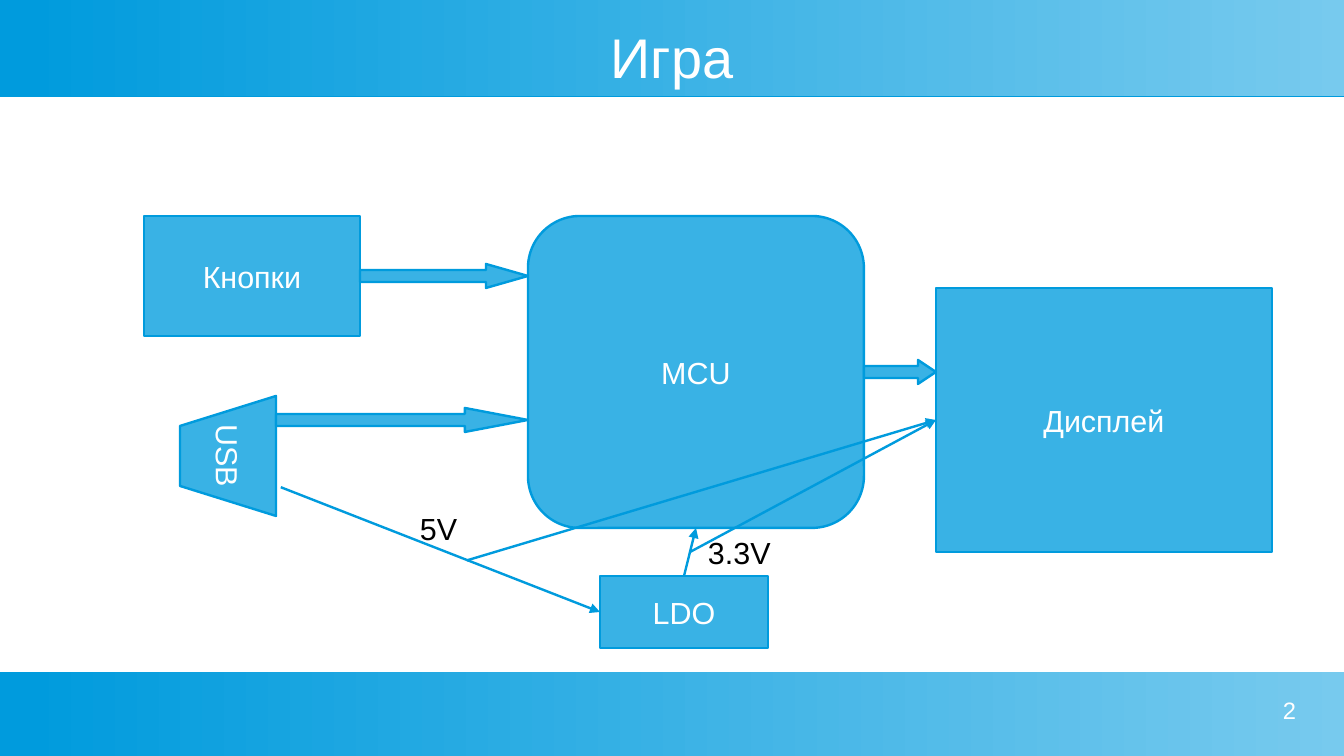
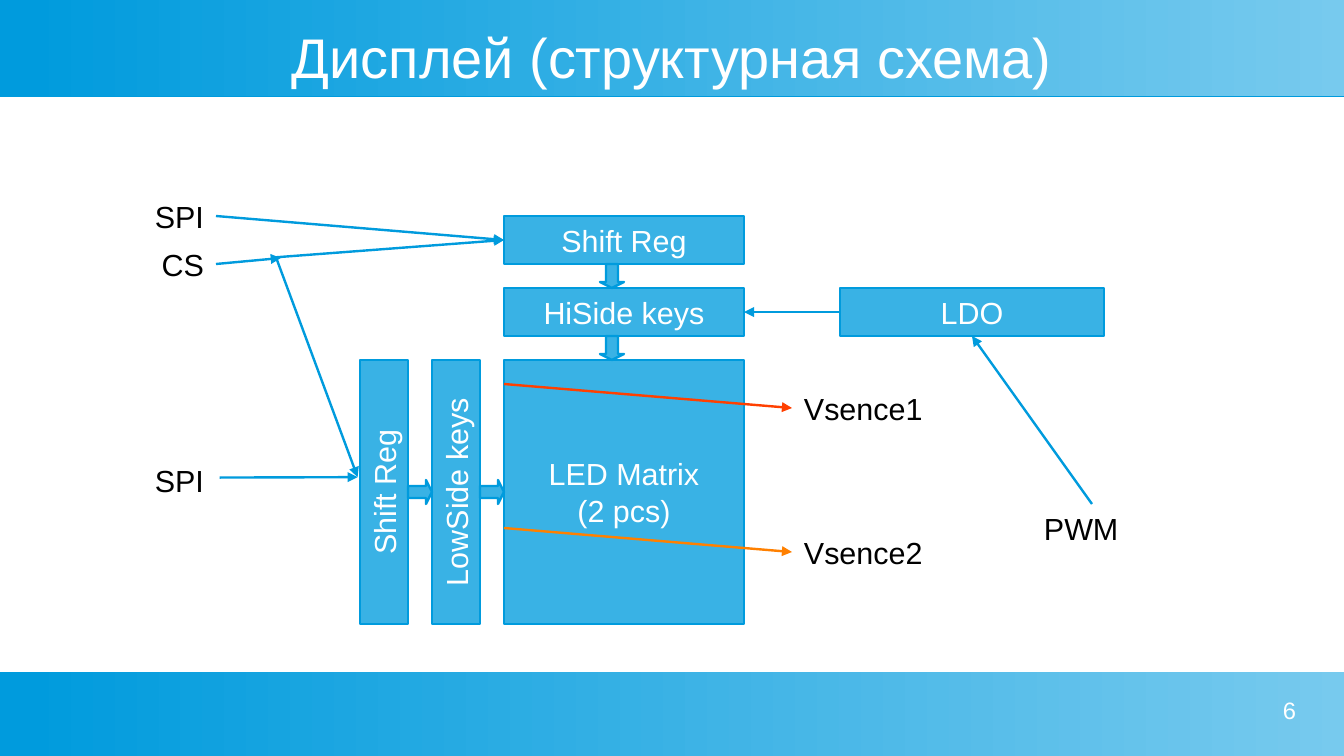
from lxml.etree import SubElement
from pptx import Presentation
from pptx.dml.color import RGBColor
from pptx.enum.shapes import MSO_CONNECTOR as Connector, MSO_SHAPE as Shape
from pptx.enum.text import MSO_ANCHOR as Anchor, MSO_AUTO_SIZE as AutoSize, PP_ALIGN as Align
from pptx.oxml.ns import qn
from pptx.util import Cm, Pt

COLORS = {
    "block": "39B2E5", "edge": "009BDD", "pale": "77CAEE", "white": "FFFFFF",
    "text": "000000", "red": "FF4000", "orange": "FF8000",
}
FONT = "Arial"
LINE_WIDTH = Pt(1.42)
COLUMNS, ROWS = 56, 31.5  # half-centimetre grid
HEADER_ROWS, FOOTER_ROWS = 4, 3.5


def grid(*cells):
    """Turn columns and rows into lengths."""
    return [Cm(cell / 2) for cell in cells]


def color(name):
    return RGBColor.from_string(COLORS[name])


def set_all(target, values):
    for name, value in values.items():
        setattr(target, name, value)


# Text and basic parts
def write(shape, text, size=18, ink="text", align=Align.LEFT, **frame_format):
    frame = shape.text_frame
    set_all(frame, {"auto_size": AutoSize.NONE, **frame_format})
    frame.text = text
    for para in frame.paragraphs:
        para.alignment = align
        for span in para.runs:
            set_all(span.font, {"name": FONT, "size": Pt(size)})
            span.font.color.rgb = color(ink)


NO_MARGINS = dict.fromkeys(
    ("margin_left", "margin_top", "margin_right", "margin_bottom"), 0)


def paint(shape):
    shape.shadow.inherit = False
    shape.fill.solid()
    shape.fill.fore_color.rgb = color("block")
    shape.line.color.rgb = color("edge")
    shape.line.width = LINE_WIDTH


def caption(shape, text):
    write(shape, text, ink="white", align=Align.CENTER,
          word_wrap=False, vertical_anchor=Anchor.MIDDLE)


def add_block(page, text, box, kind=Shape.RECTANGLE, turn=0):
    block = page.shapes.add_shape(kind, *grid(*box))
    paint(block)
    block.rotation = turn
    caption(block, text)


def add_socket(page, text, box, inset=1.25):
    """Trapezoid with its wide edge on top, turned a quarter to the right."""
    left, top, width, height = box
    right, bottom = left + width, top + height
    outline = page.shapes.build_freeform(*grid(left, top), scale=1.0)
    corners = [(right, top), (right - inset, bottom), (left + inset, bottom)]
    outline.add_line_segments([grid(*corner) for corner in corners], close=True)
    socket = outline.convert_to_shape()
    paint(socket)
    socket.rotation = 90
    caption(socket, text)


def add_block_arrow(page, box, head, kind=Shape.RIGHT_ARROW):
    arrow = page.shapes.add_shape(kind, *grid(*box))
    paint(arrow)
    arrow.adjustments[0] = 0.5
    arrow.adjustments[1] = head


def add_wire(page, start, end, ink="edge"):
    wire = page.shapes.add_connector(Connector.STRAIGHT, *grid(*start, *end))
    wire.line.color.rgb = color(ink)
    wire.line.width = LINE_WIDTH
    line = wire.element.spPr.find(qn("a:ln"))
    SubElement(line, qn("a:tailEnd"), type="triangle")
    SubElement(wire.element.spPr, qn("a:effectLst"))


def add_label(page, text, box, align=Align.LEFT):
    label = page.shapes.add_textbox(*grid(*box))
    write(label, text, align=align, word_wrap=True)


# Shared look
def add_band(page, top, height):
    band = page.shapes.add_shape(Shape.RECTANGLE, *grid(0, top, COLUMNS, height))
    band.fill.gradient()
    band.fill.gradient_angle = 0
    for stop, (ink, position) in zip(band.fill.gradient_stops,
                                     (("edge", 0.02), ("pale", 1))):
        stop.color.rgb = color(ink)
        stop.position = position
    band.line.fill.background()
    band.shadow.inherit = False
    effects = band.element.spPr.find(qn("a:effectLst"))
    shade = SubElement(effects, qn("a:outerShdw"), blurRad="0",
                       dist=str(Pt(0.9)), dir="5400000", rotWithShape="0")
    SubElement(shade, qn("a:srgbClr"), val=COLORS["edge"])
    return band


def style_layout(layout, page):
    """Move both bands behind the layout's title and place the title."""
    tree = layout.shapes.element
    for top, height in ((ROWS - FOOTER_ROWS, FOOTER_ROWS), (0, HEADER_ROWS)):
        tree.insert(2, add_band(page, top, height).element)
    title = next(item for item in layout.placeholders
                 if item.placeholder_format.idx == 0)
    set_all(title, dict(zip(("left", "top", "width", "height"),
                            grid(2, 1, COLUMNS - 4, 2.65))))


def add_heading(page, title, number):
    write(page.shapes.title, title, 33, "white", Align.CENTER,
          vertical_anchor=Anchor.MIDDLE, word_wrap=True, **NO_MARGINS)
    corner = page.shapes.add_textbox(*grid(COLUMNS - 15, 29, 13, 2))
    write(corner, number, 14, "white", Align.RIGHT, word_wrap=True, **NO_MARGINS)


# Slide: whole device
def draw_device(page):
    add_heading(page, "Игра", "2")
    add_block(page, "MCU", (22, 9, 14, 13), Shape.ROUNDED_RECTANGLE)
    for text, box in (("Кнопки", (6, 9, 9, 5)),
                      ("LDO", (25, 24, 7, 3)),
                      ("Дисплей", (39, 12, 14, 11))):
        add_block(page, text, box)
    add_socket(page, "USB", (7, 17, 5, 4))
    # Signals
    for left, top, width, head in ((15, 11, 7, 1.75), (11.5, 17, 10.5, 2.63),
                                   (36, 15, 3, 0.75)):
        add_block_arrow(page, (left, top, width, 1), head)
    # Supply lines
    display_input = (39, 17.5)
    for start, end in (((11.7, 20.3), (25, 25.5)),
                       ((28.5, 24), (29, 22)),
                       ((28.75, 23), display_input),
                       ((19.45, 23.35), display_input)):
        add_wire(page, start, end)
    add_label(page, "5V", (17, 21, 3, 2))
    add_label(page, "3.3V", (29, 22, 4, 2))


# Slide: display structure
def draw_display(page):
    add_heading(page, "Дисплей (структурная схема)", "6")
    matrix_left, matrix_top, matrix_width, matrix_height = 21, 15, 10, 11
    strip, step = 2, 3
    add_block(page, "LED Matrix\n(2 pcs)",
              (matrix_left, matrix_top, matrix_width, matrix_height))
    # Drivers above and to the left of the matrix
    middle = matrix_top + matrix_height / 2
    for place, (row_text, column_text) in enumerate(
            (("HiSide keys", "LowSide keys"), ("Shift Reg", "Shift Reg")), 1):
        top = matrix_top - place * step
        add_block(page, row_text, (matrix_left, top, matrix_width, strip))
        add_block_arrow(page, (25, top + strip, 1, 1), 0.25, Shape.DOWN_ARROW)
        left = matrix_left - place * step
        center = left + strip / 2
        add_block(page, column_text,
                  (center - matrix_height / 2, middle - strip / 2,
                   matrix_height, strip), turn=270)
        add_block_arrow(page, (left + strip, middle - 0.5, 1, 1), 0.25)
    add_block(page, "LDO", (35, 12, 11, strip))
    # Control lines
    row_input, column_input, branch = (21, 10), (14.9, 19.88), (11.5, 10.72)
    for start, end in (((9.15, 19.9), column_input),
                       ((9, 9), row_input),
                       (branch, row_input),
                       (branch, column_input),
                       ((9, 11), (11.7, 10.75)),
                       ((35, 13), (31, 13)),
                       ((45.5, 21), (40.5, 14))):
        add_wire(page, start, end)
    for text, box in (("SPI", (5, 8, 4, 2)), ("SPI", (5, 19, 4, 2)),
                      ("CS", (6, 10, 3, 2))):
        add_label(page, text, box, Align.RIGHT)
    add_label(page, "PWM", (43, 21, 5, 2))
    # Sense outputs
    for text, top, ink in (("Vsence1", 16, "red"), ("Vsence2", 22, "orange")):
        add_wire(page, (matrix_left, top), (33, top + 1), ink)
        add_label(page, text, (33, top, 6, 2))


def main():
    deck = Presentation()
    deck.slide_width, deck.slide_height = grid(COLUMNS, ROWS)
    layout = deck.slide_layouts[5]
    pages = [deck.slides.add_slide(layout) for _ in range(2)]
    style_layout(layout, pages[0])
    for draw, page in zip((draw_device, draw_display), pages):
        draw(page)
    deck.save("out.pptx")


if __name__ == "__main__":
    main()
